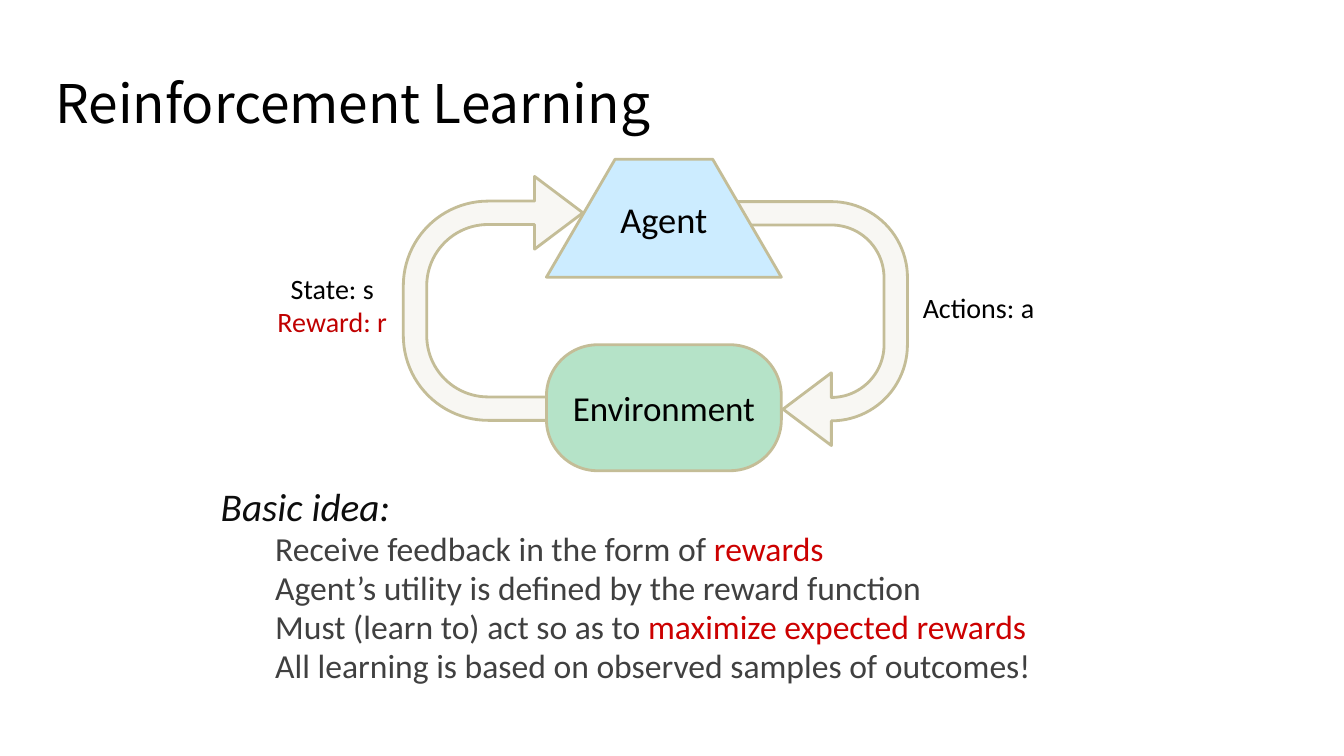
"""Build the reinforcement learning loop slide."""
from pptx import Presentation
from pptx.dml.color import RGBColor
from pptx.enum.shapes import MSO_SHAPE as Shape
from pptx.enum.text import MSO_ANCHOR as Anchor, PP_ALIGN as Align
from pptx.util import Inches, Pt

BLACK = RGBColor(0x00, 0x00, 0x00)
INK = RGBColor(0x0D, 0x0D, 0x0D)
GRAY = RGBColor(0x40, 0x40, 0x40)
RED = RGBColor(0xCC, 0x00, 0x00)
DARK_RED = RGBColor(0xC0, 0x00, 0x00)
CREAM = RGBColor(0xF8, 0xF7, 0xF3)
TAN = RGBColor(0xC4, 0xBD, 0x97)
GREEN = RGBColor(0xB5, 0xE3, 0xC8)
BLUE = RGBColor(0xCC, 0xEC, 0xFF)


def add_run(para, text, size, color, face="Calibri", italic=False):
    run = para.add_run()
    run.text = text
    font = run.font
    font.name, font.size, font.italic = face, Pt(size), italic
    font.color.rgb = color


def add_node(kind, box, adjust, fill, turn=0):
    node = slide.shapes.add_shape(kind, *map(Inches, box))
    for i, value in enumerate(adjust):
        node.adjustments[i] = value
    node.rotation = turn
    node.shadow.inherit = False
    node.fill.solid()
    node.fill.fore_color.rgb = fill
    node.line.color.rgb = TAN
    node.line.width = Pt(2)
    return node


deck = Presentation()
deck.slide_width, deck.slide_height = Inches(13.33), Inches(7.5)
slide = deck.slides.add_slide(deck.slide_layouts[5])

title = slide.shapes.title
title.left, title.top = Inches(0.44), Inches(0.21)
title.width, title.height = Inches(11.33), Inches(1.61)
frame = title.text_frame
frame.vertical_anchor = Anchor.MIDDLE
frame.margin_left = frame.margin_right = Inches(0.11)
para = frame.paragraphs[0]
para.alignment = Align.LEFT
add_run(para, "Reinforcement Learning", 38, BLACK, "Noto Sans CJK KR")

for left, top, turn, reach in [(3.75, 2, 270, 0.928), (6.83, 2.25, 90, 0.643)]:
    bend = (0.121, 0.188, 0.25, 0.438, reach)
    add_node(Shape.U_TURN_ARROW, (left, top, 2.42, 1.92), bend, CREAM, turn)

ideas = [
    [("Receive feedback in the form of ", GRAY), ("rewards", RED)],
    [("Agent’s utility is defined by the reward function", GRAY)],
    [("Must (learn to) act so as to ", GRAY), ("maximize expected rewards", RED)],
    [("All learning is based on observed samples of outcomes!", GRAY)],
]
body = slide.shapes.add_textbox(Inches(2.08), Inches(4.83), Inches(9.17), Inches(2.25))
frame = body.text_frame
frame.word_wrap = True
frame.margin_left = frame.margin_right = Inches(0.11)
para = frame.paragraphs[0]
para.line_spacing = 0.8
add_run(para, "Basic idea:", 28, INK, italic=True)
for idea in ideas:
    para = frame.add_paragraph()
    para.level = 1
    para.line_spacing = 0.8
    para.space_before = Pt(4.8)
    props = para._p.get_or_add_pPr()
    props.set("marL", str(Inches(0.88) - Inches(0.34)))
    props.set("indent", "0")
    for text, color in idea:
        add_run(para, text, 24, color)

world = add_node(Shape.ROUNDED_RECTANGLE, (5.42, 3.42, 2.33, 1.25), [0.406], GREEN)
agent = add_node(Shape.TRAPEZOID, (5.42, 1.58, 2.33, 1.17), [0.582], BLUE)
for node, text, size in [(world, "Environment", 25), (agent, "Agent", 26)]:
    frame = node.text_frame
    frame.word_wrap = False
    frame.vertical_anchor = Anchor.MIDDLE
    para = frame.paragraphs[0]
    para.alignment = Align.CENTER
    add_run(para, text, size, BLACK)
agent.text_frame.vertical_anchor = Anchor.TOP
agent.text_frame.margin_top = Inches(0.15)

labels = [
    (8.83, 2.83, 0.44, [("Actions: a", BLACK)]),
    (2.42, 2.64, 0.77, [("State: s", BLACK), ("Reward: r", DARK_RED)]),
]
for left, top, height, lines in labels:
    label = slide.shapes.add_textbox(Inches(left), Inches(top), Inches(1.75), Inches(height))
    frame = label.text_frame
    frame.word_wrap = True
    for i, (text, color) in enumerate(lines):
        para = frame.add_paragraph() if i else frame.paragraphs[0]
        para.alignment = Align.CENTER
        add_run(para, text, 20, color)

deck.save("out.pptx")
